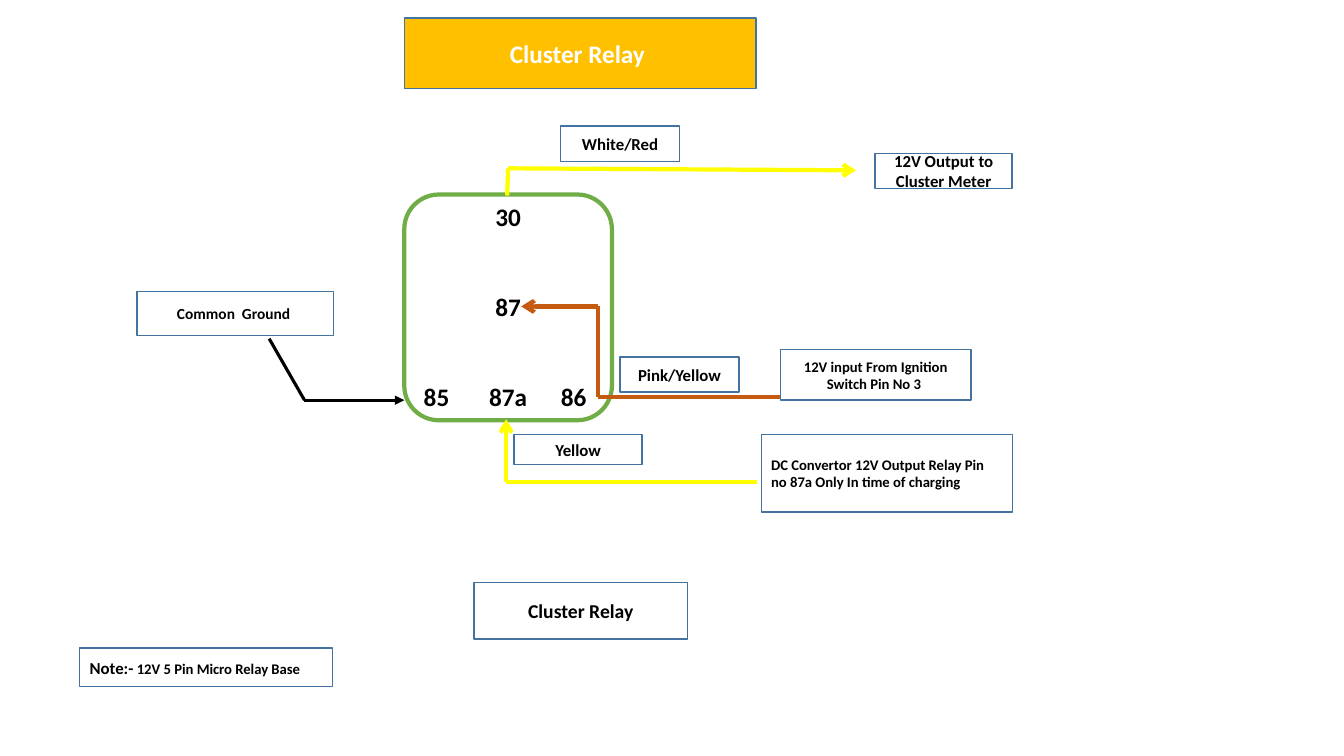
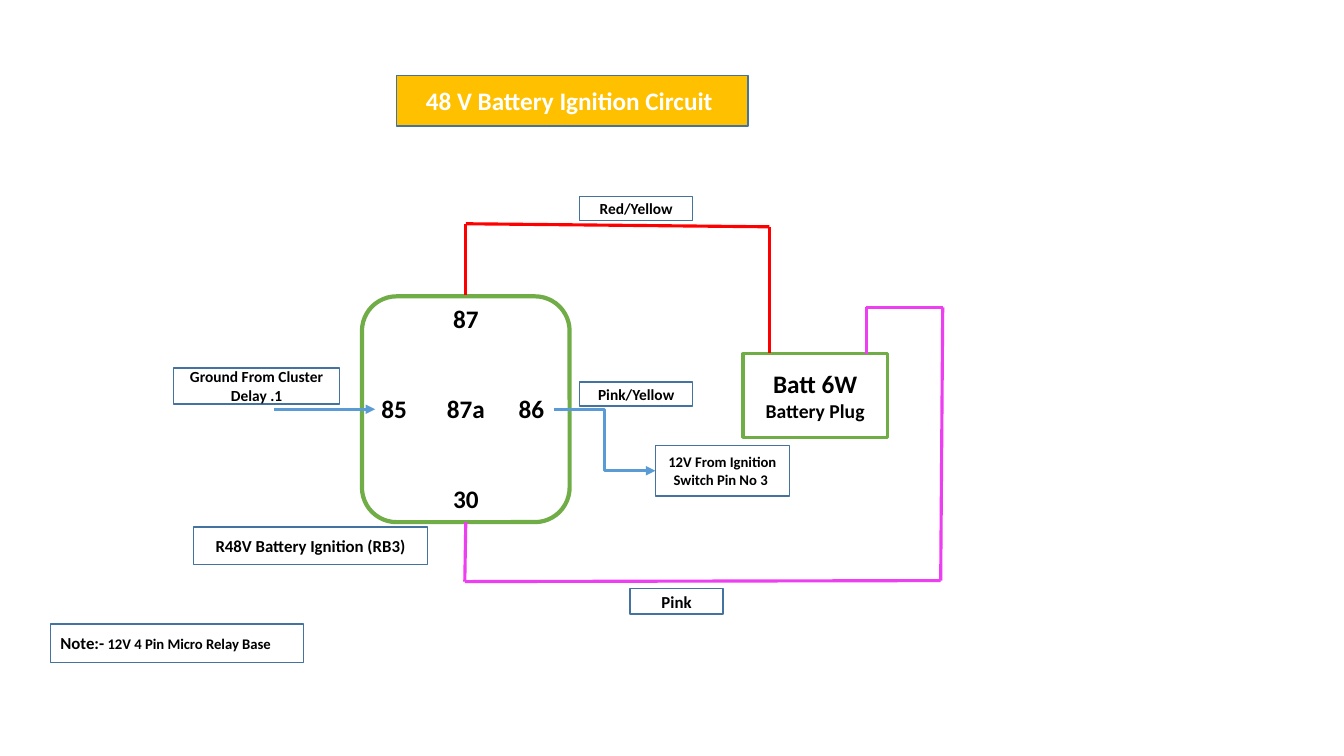
import lxml.etree
import pptx
import pptx.dml.color
import pptx.enum.shapes
import pptx.enum.text
import pptx.oxml.ns
import pptx.util

Inches = pptx.util.Inches
Pt = pptx.util.Pt
SHAPES = pptx.enum.shapes.MSO_SHAPE
CONNECTORS = pptx.enum.shapes.MSO_CONNECTOR
ALIGN = pptx.enum.text.PP_ALIGN
ANCHOR = pptx.enum.text.MSO_ANCHOR

FONT = "Calibri"
COLORS = {
    "white": "FFFFFF",
    "black": "000000",
    "title": "FFC000",
    "outline": "43739E",
    "green": "70AD47",
    "yellow": "FFFF00",
    "brown": "C55A11",
    "blue": "5B9BD5",
    "red": "FF0000",
    "pink": "ED3FF1",
}
RELAY_SIZE = (2.06, 2.24)
PIN_SIZE = (0.6, 0.3)
PIN_COLUMNS = (0.32, 1.03, 1.68)
PIN_ROWS = (0.22, 1.11, 2.0)


def color(name):
    """Return the named colour."""
    return pptx.dml.color.RGBColor.from_string(COLORS[name])


def write(frame, paragraphs, text_color="black", align=ALIGN.CENTER):
    """Fill a text frame with paragraphs made of (text, size) runs."""
    frame.word_wrap = True
    frame.vertical_anchor = ANCHOR.MIDDLE
    for index, runs in enumerate(paragraphs):
        paragraph = frame.add_paragraph() if index else frame.paragraphs[0]
        paragraph.alignment = align
        for text, size in runs:
            run = paragraph.add_run()
            run.text = text
            run.font.name = FONT
            run.font.size = Pt(size)
            run.font.bold = True
            run.font.color.rgb = color(text_color)


def add_box(slide, box, fill="white", line="outline", width=1, preset=SHAPES.RECTANGLE):
    """Draw an outlined box and return it."""
    shape = slide.shapes.add_shape(preset, *map(Inches, box))
    shape.shadow.inherit = False
    shape.fill.solid()
    shape.fill.fore_color.rgb = color(fill)
    shape.line.color.rgb = color(line)
    shape.line.width = Pt(width)
    return shape


def add_label(slide, box, text, size=12, align=ALIGN.CENTER):
    """Draw a framed one-paragraph label."""
    write(add_box(slide, box).text_frame, [[(text, size)]], align=align)


def add_title(slide, box, text):
    """Draw the title band."""
    write(add_box(slide, box, "title").text_frame, [[(text, 18)]], "white")


def add_note(slide, left, top, text):
    """Draw the note about the relay base."""
    shape = add_box(slide, (left, top, 2.51, 0.38))
    write(shape.text_frame, [[("Note:-", 12), (text, 10.5)]], align=ALIGN.LEFT)


def add_relay(slide, left, top, pins):
    """Draw a relay with its pin numbers at (column, row) grid places."""
    add_box(slide, (left, top, *RELAY_SIZE), line="green", width=3,
            preset=SHAPES.ROUNDED_RECTANGLE)
    width, height = PIN_SIZE
    for number, (column, row) in pins.items():
        pin = slide.shapes.add_textbox(
            Inches(left + PIN_COLUMNS[column] - width / 2),
            Inches(top + PIN_ROWS[row] - height / 2),
            Inches(width), Inches(height))
        frame = pin.text_frame
        frame.margin_left = frame.margin_right = 0
        frame.margin_top = frame.margin_bottom = 0
        write(frame, [[(number, 18)]])


def add_connector(slide, start, end, line, width, head=None, kind=CONNECTORS.STRAIGHT):
    """Draw one connector, with an arrowhead at its end if asked."""
    points = map(Inches, (*start, *end))
    connector = slide.shapes.add_connector(kind, *points)
    connector.line.color.rgb = color(line)
    connector.line.width = Pt(width)
    name = pptx.oxml.ns.qn
    properties = connector.element.spPr
    if head:
        outline = properties.find(name("a:ln"))
        lxml.etree.SubElement(outline, name("a:tailEnd"), type=head)
    lxml.etree.SubElement(properties, name("a:effectLst"))


def add_wire(slide, points, line, width=2.25, head=None):
    """Draw a wire through the points, with any arrowhead on the last part."""
    parts = list(zip(points, points[1:]))
    for index, (start, end) in enumerate(parts, 1):
        add_connector(slide, start, end, line, width,
                      head if index == len(parts) else None)


def build_cluster_relay(slide):
    """Build the cluster relay diagram."""
    add_title(slide, (4.01, 0.18, 3.49, 0.7), "Cluster Relay ")
    add_relay(slide, 4.01, 1.93, {
        "30": (1, 0), "87": (1, 1), "85": (0, 2), "87a": (1, 2), "86": (2, 2)})
    add_wire(slide, [(7.51, 4.78), (5.02, 4.78), (5.02, 4.16)], "yellow", 3, "arrow")
    add_wire(slide, [(5.03, 1.94), (5.04, 1.67), (8.49, 1.69)], "yellow", 3, "arrow")
    add_wire(slide, [(7.74, 3.94), (5.93, 3.94), (5.93, 3.04), (5.17, 3.04)],
             "brown", 3, "arrow")
    add_wire(slide, [(2.67, 3.36), (3.02, 3.97), (4.01, 3.97)], "black", head="triangle")

    add_label(slide, (5.56, 1.25, 1.18, 0.35), "White/Red")
    add_label(slide, (6.15, 3.54, 1.18, 0.35), "Pink/Yellow")
    add_label(slide, (5.1, 4.31, 1.27, 0.3), "Yellow")
    add_label(slide, (1.36, 2.89, 1.95, 0.44), "Common  Ground ", 11)
    add_label(slide, (8.68, 1.52, 1.36, 0.35), "12V Output to Cluster Meter")
    add_label(slide, (7.74, 3.47, 1.89, 0.5),
              "12V input From Ignition Switch Pin No 3 ", 10.5)
    add_label(slide, (7.55, 4.31, 2.49, 0.77),
              "DC Convertor 12V Output Relay Pin no 87a Only In time of charging",
              10.5, ALIGN.LEFT)
    add_label(slide, (4.7, 5.78, 2.12, 0.56), "Cluster Relay", 14)
    add_note(slide, 0.79, 6.43, " 12V 5 Pin Micro Relay Base")


def build_battery_ignition(slide):
    """Build the battery ignition circuit."""
    add_title(slide, (3.93, 0.75, 3.49, 0.5), "48 V Battery Ignition Circuit ")
    add_relay(slide, 3.59, 2.94, {
        "87": (1, 0), "85": (0, 1), "87a": (1, 1), "86": (2, 1), "30": (1, 2)})
    battery = add_box(slide, (7.37, 3.51, 1.43, 0.83), line="green", width=2.25)
    write(battery.text_frame, [[("Batt 6W", 18)], [("Battery Plug", 14)]])
    add_wire(slide, [(4.62, 2.93), (4.62, 2.22), (7.63, 2.25), (7.63, 3.5)], "red")
    add_wire(slide, [(4.62, 5.18), (4.61, 5.77), (9.33, 5.76), (9.35, 3.05),
                     (8.59, 3.05), (8.59, 3.51)], "pink")
    add_wire(slide, [(2.72, 4.06), (3.72, 4.06)], "blue", head="triangle")
    add_connector(slide, (5.49, 4.06), (6.5, 4.67), "blue", 2.25, "triangle",
                  CONNECTORS.ELBOW)

    add_label(slide, (5.75, 1.95, 1.12, 0.24), "Red/Yellow", 11)
    add_label(slide, (5.75, 3.79, 1.12, 0.24), "Pink/Yellow", 11)
    add_label(slide, (6.25, 5.84, 0.92, 0.25), "Pink")
    add_label(slide, (1.72, 3.65, 1.65, 0.36), "Ground From Cluster Delay .1", 11)
    add_label(slide, (6.5, 4.42, 1.33, 0.5),
              "12V From Ignition Switch Pin No 3 ", 10.5)
    add_label(slide, (1.92, 5.23, 2.32, 0.37), "R48V Battery Ignition (RB3)")
    add_note(slide, 0.5, 6.19, " 12V 4 Pin Micro Relay Base")


def main():
    """Create and save the presentation."""
    presentation = pptx.Presentation()
    presentation.slide_width = Inches(13.33)
    presentation.slide_height = Inches(7.5)
    for build in (build_cluster_relay, build_battery_ignition):
        build(presentation.slides.add_slide(presentation.slide_layouts[6]))
    presentation.save("out.pptx")


if __name__ == "__main__":
    main()
